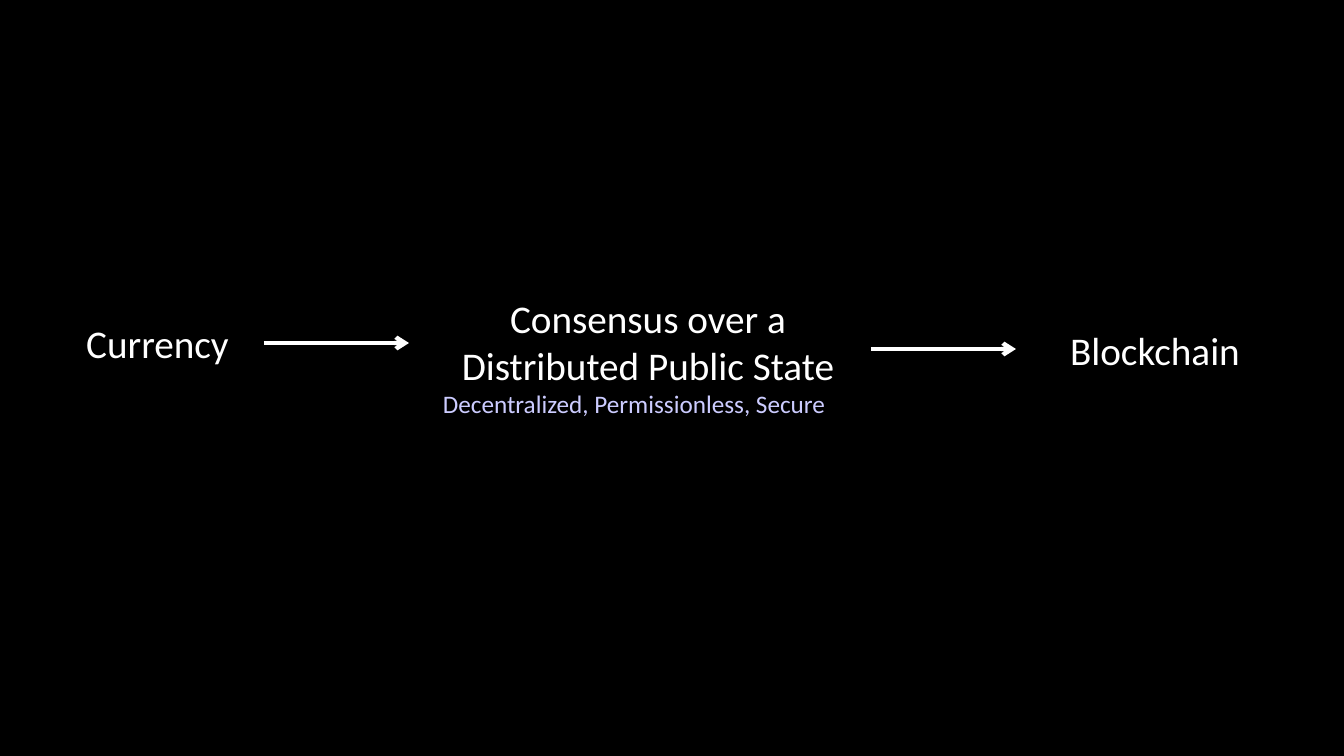
import pptx
import pptx.dml.color
import pptx.enum.shapes
import pptx.enum.text
import pptx.oxml
import pptx.util

WIDTH, HEIGHT = 1344, 756
EMU_PER_PX = 12192000 / WIDTH
ALIGN = pptx.enum.text.PP_ALIGN


def px(n):
    return pptx.util.Emu(round(n * EMU_PER_PX))


def rgb(value):
    return pptx.dml.color.RGBColor.from_string(value)


class Deck:
    font = "Calibri"
    white = "FFFFFF"
    lavender = "CCCCFF"
    background = "000000"

    def __init__(self):
        self.prs = pptx.Presentation()
        self.prs.slide_width, self.prs.slide_height = px(WIDTH), px(HEIGHT)
        self.s = self.prs.slides.add_slide(self.prs.slide_layouts[6])
        fill = self.s.background.fill
        fill.solid()
        fill.fore_color.rgb = rgb(self.background)

    def text(self, text, box, size=28, color=white, align=ALIGN.CENTER):
        sp = self.s.shapes.add_textbox(*map(px, box))
        tf = sp.text_frame
        tf.word_wrap = True
        p = tf.paragraphs[0]
        p.alignment = align
        r = p.add_run()
        r.text = text
        for name, value in {"name": self.font, "size": pptx.util.Pt(size)}.items():
            setattr(r.font, name, value)
        r.font.color.rgb = rgb(color)

    def arrow(self, x, y, length=145):
        """Draw a horizontal arrow pointing right from (x, y)."""
        sp = self.s.shapes.add_connector(
            pptx.enum.shapes.MSO_CONNECTOR.STRAIGHT, px(x), px(y), px(x + length), px(y))
        sp.line.width = pptx.util.Pt(3)
        sp.line.color.rgb = rgb(self.white)
        pptx.oxml.xmlchemy.OxmlElement  # element factory used below
        head = pptx.oxml.xmlchemy.OxmlElement("a:tailEnd")
        head.set("type", "arrow")
        sp.line._get_or_add_ln().append(head)
        sp._element.spPr.append(pptx.oxml.xmlchemy.OxmlElement("a:effectLst"))


def main():
    deck = Deck()
    deck.text("Consensus over a Distributed Public State", (418, 289, 460, 105))
    deck.arrow(264, 343)
    deck.text("Currency", (30, 314, 255, 57))
    deck.text("Decentralized, Permissionless, Secure", (433, 383, 427, 40),
              size=18, color=deck.lavender, align=ALIGN.LEFT)
    deck.text("Blockchain", (1040, 321, 230, 57))
    deck.arrow(871, 349)
    deck.prs.save("out.pptx")


if __name__ == "__main__":
    main()
